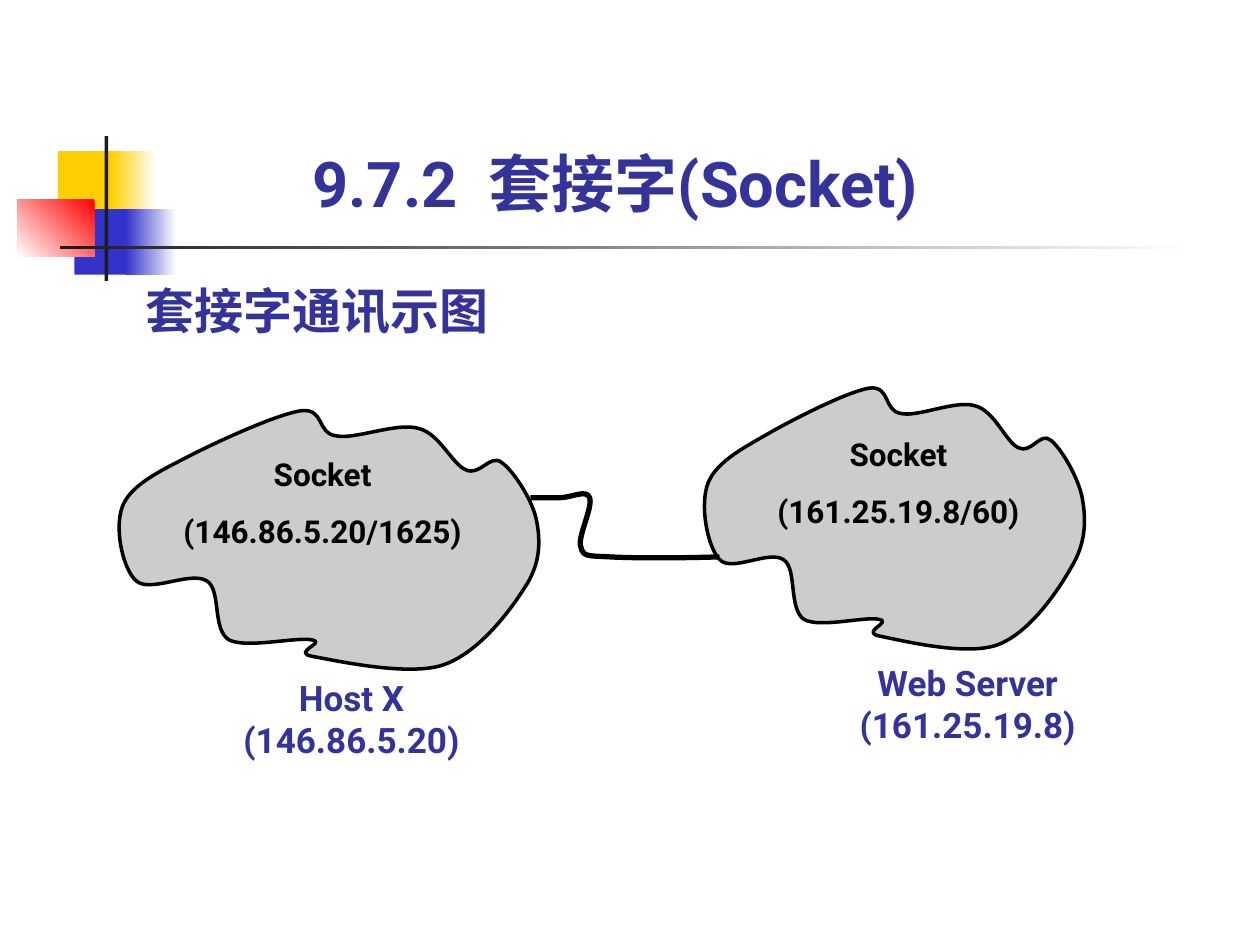
from lxml import etree
from pptx import Presentation
from pptx.dml.color import RGBColor
from pptx.enum.shapes import MSO_SHAPE
from pptx.enum.text import MSO_ANCHOR, MSO_AUTO_SIZE, PP_ALIGN
from pptx.oxml.ns import qn
from pptx.util import Inches, Pt

RECT = MSO_SHAPE.RECTANGLE
LEFT, CENTER = PP_ALIGN.LEFT, PP_ALIGN.CENTER
FONT = "Roboto"
INDIGO, BLACK, GRAY = "333399", "000000", "C0C0C0"

TITLE = "9.7.2  套接字(Socket)"
SUBTITLE = "套接字通讯示图"

# box, colours (one = solid, two = gradient), gradient angle counter-clockwise
DECOR = [
    ((0.46, 1.2, 0.48, 0.52), ["FFCF01"], 0),
    ((0.88, 1.2, 0.36, 0.52), ["FFFFFF", "FFCF01"], 180),
    ((0.59, 1.66, 0.46, 0.52), ["3333CC"], 0),
    ((1, 1.66, 0.4, 0.52), ["FFFFFF", "3333CC"], 180),
    ((0.14, 1.58, 0.61, 0.46), ["FF0000", "FFFFFF"], 225),
    ((0.83, 1.08, 0.03, 1.15), ["1C1C1C"], 0),
    ((0.48, 1.95, 9, 0.03), ["FFFFFF", "1C1C1C"], 180),
]

# Start point, then two control points and an end point per curve
CLOUD_BOX = (0.9, 3.24, 3.39, 2.13)
CLOUD = [
    (1.54, 3.6),
    (1.31, 3.72), (1.06, 3.83), (0.98, 4),
    (0.9, 4.17), (0.97, 4.51), (1.08, 4.61),
    (1.19, 4.71), (1.51, 4.53), (1.64, 4.61),
    (1.76, 4.68), (1.68, 5), (1.82, 5.08),
    (1.96, 5.15), (2.37, 5.05), (2.48, 5.08),
    (2.59, 5.1), (2.31, 5.18), (2.48, 5.21),
    (2.65, 5.24), (3.23, 5.37), (3.51, 5.28),
    (3.79, 5.19), (4.04, 4.86), (4.16, 4.67),
    (4.29, 4.48), (4.29, 4.3), (4.26, 4.14),
    (4.23, 3.97), (4.07, 3.73), (3.98, 3.67),
    (3.89, 3.6), (3.81, 3.78), (3.7, 3.73),
    (3.59, 3.69), (3.49, 3.44), (3.32, 3.4),
    (3.15, 3.35), (2.82, 3.49), (2.67, 3.46),
    (2.51, 3.44), (2.58, 3.24), (2.39, 3.26),
    (2.2, 3.29), (1.78, 3.48), (1.54, 3.6),
]
LINK = [
    (4.21, 3.95),
    (4.29, 3.95), (4.37, 3.95), (4.45, 3.95),
    (4.53, 3.95), (4.66, 3.88), (4.68, 3.95),
    (4.71, 4.02), (4.58, 4.27), (4.61, 4.34),
    (4.63, 4.42), (4.66, 4.41), (4.84, 4.42),
    (5.03, 4.43), (5.37, 4.43), (5.71, 4.42),
]

HOSTS = [
    {"cloud": CLOUD_BOX,
     "socket": ["Socket", "(146.86.5.20/1625)"], "socket_at": (1.22, 3.56),
     "name": ["Host X", "(146.86.5.20)"], "name_at": (1.45, 5.37)},
    {"cloud": (5.55, 3.06, 3.07, 2.15),
     "socket": ["Socket", "(161.25.19.8/60)"], "socket_at": (5.79, 3.4),
     "name": ["Web Server", "(161.25.19.8)"], "name_at": (6.34, 5.25)},
]
LABEL_W = 2.68


def rgb(hex_color):
    return RGBColor.from_string(hex_color)


def write(tf, lines, size, color, align=LEFT, gap=0, margins=(0, 0)):
    tf.word_wrap = True
    tf.auto_size = MSO_AUTO_SIZE.NONE
    tf.margin_left = tf.margin_right = Inches(margins[0])
    tf.margin_top = tf.margin_bottom = Inches(margins[1])
    for i, line in enumerate(lines):
        p = tf.add_paragraph() if i else tf.paragraphs[0]
        p.text = line
        p.alignment = align
        p.space_before = Pt(gap if i else 0)
        p.font.name, p.font.size, p.font.bold = FONT, Pt(size), True
        p.font.color.rgb = rgb(color)


def add_text(slide, box, *args, **kwargs):
    tb = slide.shapes.add_textbox(*map(Inches, box))
    write(tb.text_frame, *args, **kwargs)


def add_decor(slide, box, colors, angle):
    sp = slide.shapes.add_shape(RECT, *map(Inches, box))
    sp.shadow.inherit = False
    sp.line.fill.background()
    if len(colors) == 1:
        sp.fill.solid()
        sp.fill.fore_color.rgb = rgb(colors[0])
        return
    sp.fill.gradient()
    sp.fill.gradient_angle = angle
    for stop, color in zip(sp.fill.gradient_stops, colors):
        stop.color.rgb = rgb(color)


def add_curve(slide, points, width, closed=False):
    """Draw a chain of cubic Bezier curves."""
    start, *rest = [(Inches(x), Inches(y)) for x, y in points]
    builder = slide.shapes.build_freeform(*start)
    builder.add_line_segments(rest, close=closed)
    sp = builder.convert_to_shape()
    segments = list(sp._element.iter(qn("a:lnTo")))
    for i in range(0, len(segments), 3):
        curve = etree.Element(qn("a:cubicBezTo"))
        segments[i].addprevious(curve)
        for segment in segments[i:i + 3]:
            curve.append(segment[0])
            segment.getparent().remove(segment)
    sp.shadow.inherit = False
    sp.fill.background()
    sp.line.color.rgb = rgb(BLACK)
    sp.line.width = Pt(width)
    return sp


def add_cloud(slide, box):
    x0, y0, w0, h0 = CLOUD_BOX
    x, y, w, h = box
    points = [(x + (px - x0) * w / w0, y + (py - y0) * h / h0) for px, py in CLOUD]
    sp = add_curve(slide, points, 2, closed=True)
    sp.fill.solid()
    sp.fill.fore_color.rgb = rgb(GRAY)
    color = sp._element.spPr.find(qn("a:solidFill"))[0]
    etree.SubElement(color, qn("a:alpha"), val="80000")


def main():
    prs = Presentation()
    prs.slide_width, prs.slide_height = Inches(10), Inches(7.5)
    slide = prs.slides.add_slide(prs.slide_layouts[5])

    for box, colors, angle in DECOR:
        add_decor(slide, box, colors, angle)

    title = slide.shapes.title
    title.left, title.top, title.width, title.height = map(Inches, (2.48, 1.15, 5.2, 0.6))
    title.text_frame.vertical_anchor = MSO_ANCHOR.BOTTOM
    write(title.text_frame, [TITLE], 36, INDIGO)
    add_text(slide, (1.06, 2.18, 3.07, 0.57), [SUBTITLE], 28, INDIGO, margins=(0.1, 0.05))

    for host in HOSTS:
        add_cloud(slide, host["cloud"])
        add_text(slide, (*host["socket_at"], LABEL_W, 0.86), host["socket"], 18, BLACK,
                 CENTER, gap=11.2, margins=(0.1, 0.05))
        add_text(slide, (*host["name_at"], LABEL_W, 0.67), host["name"], 20, INDIGO, CENTER)
    add_curve(slide, LINK, 3)

    prs.save("out.pptx")


if __name__ == "__main__":
    main()
